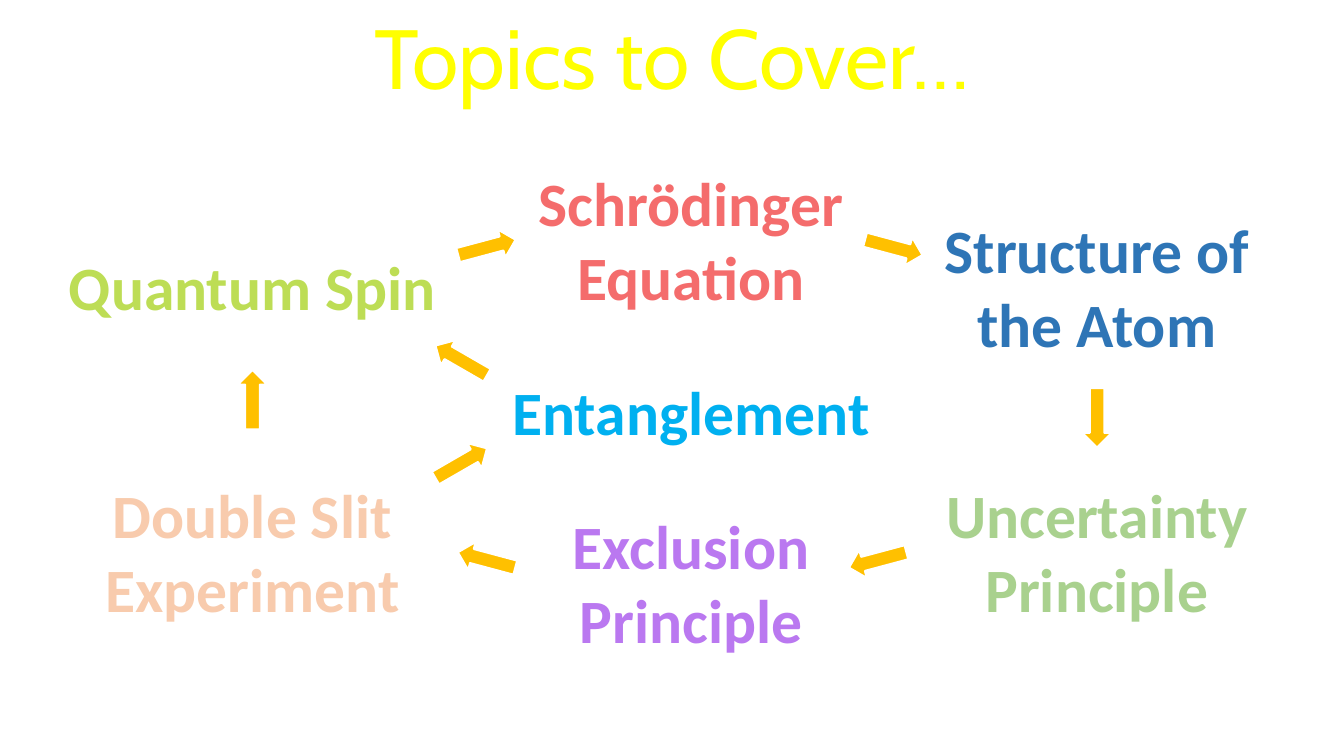
import dataclasses

import lxml.etree
import pptx
import pptx.dml.color
import pptx.enum.shapes
import pptx.enum.text
import pptx.oxml.ns
import pptx.util


@dataclasses.dataclass(frozen=True)
class Theme:
    title_font: str = "Cabin"
    topic_font: str = "Calibri"
    title_size: float = 60
    topic_size: float = 44
    title_outline: float = 2.25
    thin_line: float = 1.5
    title: str = "FFFF00"
    title_edge: str = "000000"
    arrow: str = "FFC000"
    arrow_edge: str = "FFFFFF"
    peach: tuple = ("F8CBAD", "ED7D31")
    green: tuple = ("A9D18E", "385723")
    blue: tuple = ("2E75B6", "1F4E79")
    purple: tuple = ("BA78F0", "7030A0")
    red: tuple = ("F46C6C", "FF0000")
    cyan: tuple = ("00B0F0", "0070C0")
    lime: tuple = ("BDDD55", "548235")


THEME = Theme()
LEFT, MIDDLE, RIGHT = 18.79, 51.43, 81.62
UPPER, LOWER = 37.87, 72.93
ONE_LINE, TWO_LINES = 11.2, 21.07

TOPICS = [
    ("Double Slit\nExperiment", LEFT, LOWER, 23.63, TWO_LINES, THEME.peach),
    ("Uncertainty\nPrinciple", RIGHT, LOWER, 24.16, TWO_LINES, THEME.green),
    ("Structure of\nthe Atom", RIGHT, UPPER, 24.38, TWO_LINES, THEME.blue),
    ("Exclusion\nPrinciple", MIDDLE, 77.07, 19.28, TWO_LINES, THEME.purple),
    ("Schrödinger\nEquation", MIDDLE, 31.73, 24.38, TWO_LINES, THEME.red),
    ("Entanglement", MIDDLE, 54.4, 28.36, ONE_LINE, THEME.cyan),
    ("Quantum Spin", LEFT, UPPER, 29.11, ONE_LINE, THEME.lime),
]

ARROW_SIZE = (4.43, 3.87)
ARROWS = [
    (36.23, 32.73, 345),
    (66.5, 32.73, 15),
    (34.32, 61.27, 330),
    (36.2, 74.07, 195),
    (65.3, 74.07, 165),
    (RIGHT, 55.27, 90),
    (34.32, 47.67, 210),
    (LEFT, 52.87, 270),
]


def color(code):
    return pptx.dml.color.RGBColor.from_string(code)


def centered(box, x, y, width, height):
    left, top, full_width, full_height = box
    return (
        round(left + full_width * (x - width / 2) / 100),
        round(top + full_height * (y - height / 2) / 100),
        round(full_width * width / 100),
        round(full_height * height / 100),
    )


def outline_text(span, code, points):
    properties = span.font._element if hasattr(span.font, "_element") else span._r.get_or_add_rPr()
    line = lxml.etree.Element(pptx.oxml.ns.qn("a:ln"), w=str(pptx.util.Pt(points)))
    fill = lxml.etree.SubElement(line, pptx.oxml.ns.qn("a:solidFill"))
    lxml.etree.SubElement(fill, pptx.oxml.ns.qn("a:srgbClr"), val=code)
    properties.insert(0, line)


def write_text(frame, text, *, font, size, fill, edge, edge_width, bold=False, wrap=False):
    frame.text = text
    frame.word_wrap = wrap
    frame.auto_size = pptx.enum.text.MSO_AUTO_SIZE.SHAPE_TO_FIT_TEXT
    frame.vertical_anchor = pptx.enum.text.MSO_ANCHOR.TOP
    for para in frame.paragraphs:
        para.alignment = pptx.enum.text.PP_ALIGN.CENTER
        for span in para.runs:
            span.font.name = font
            span.font.size = pptx.util.Pt(size)
            span.font.bold = bold
            span.font.color.rgb = color(fill)
            outline_text(span, edge, edge_width)


def place_title(page, box, text):
    title = page.shapes.title
    title.left, title.top, title.width, title.height = centered(box, 50, 7.4, 100, 14.8)
    write_text(title.text_frame, text, font=THEME.title_font, size=THEME.title_size,
               fill=THEME.title, edge=THEME.title_edge,
               edge_width=THEME.title_outline, wrap=True)


def place_topics(page, box):
    for text, x, y, width, height, (fill, edge) in TOPICS:
        topic = page.shapes.add_textbox(*centered(box, x, y, width, height))
        write_text(topic.text_frame, text, font=THEME.topic_font, size=THEME.topic_size,
                   fill=fill, edge=edge, edge_width=THEME.thin_line, bold=True)


def place_arrows(page, box):
    for x, y, angle in ARROWS:
        arrow = page.shapes.add_shape(pptx.enum.shapes.MSO_SHAPE.RIGHT_ARROW,
                                      *centered(box, x, y, *ARROW_SIZE))
        arrow.rotation = angle
        arrow.shadow.inherit = False
        arrow.fill.solid()
        arrow.fill.fore_color.rgb = color(THEME.arrow)
        arrow.line.color.rgb = color(THEME.arrow_edge)
        arrow.line.width = pptx.util.Pt(THEME.thin_line)


def main():
    deck = pptx.Presentation()
    deck.slide_width = pptx.util.Inches(13.33)
    deck.slide_height = pptx.util.Inches(7.5)
    page = deck.slides.add_slide(deck.slide_layouts.get_by_name("Title Only"))
    box = (0, 0, deck.slide_width, deck.slide_height)
    place_title(page, box, "Topics to Cover…")
    place_topics(page, box)
    place_arrows(page, box)
    deck.save("out.pptx")


if __name__ == "__main__":
    main()
